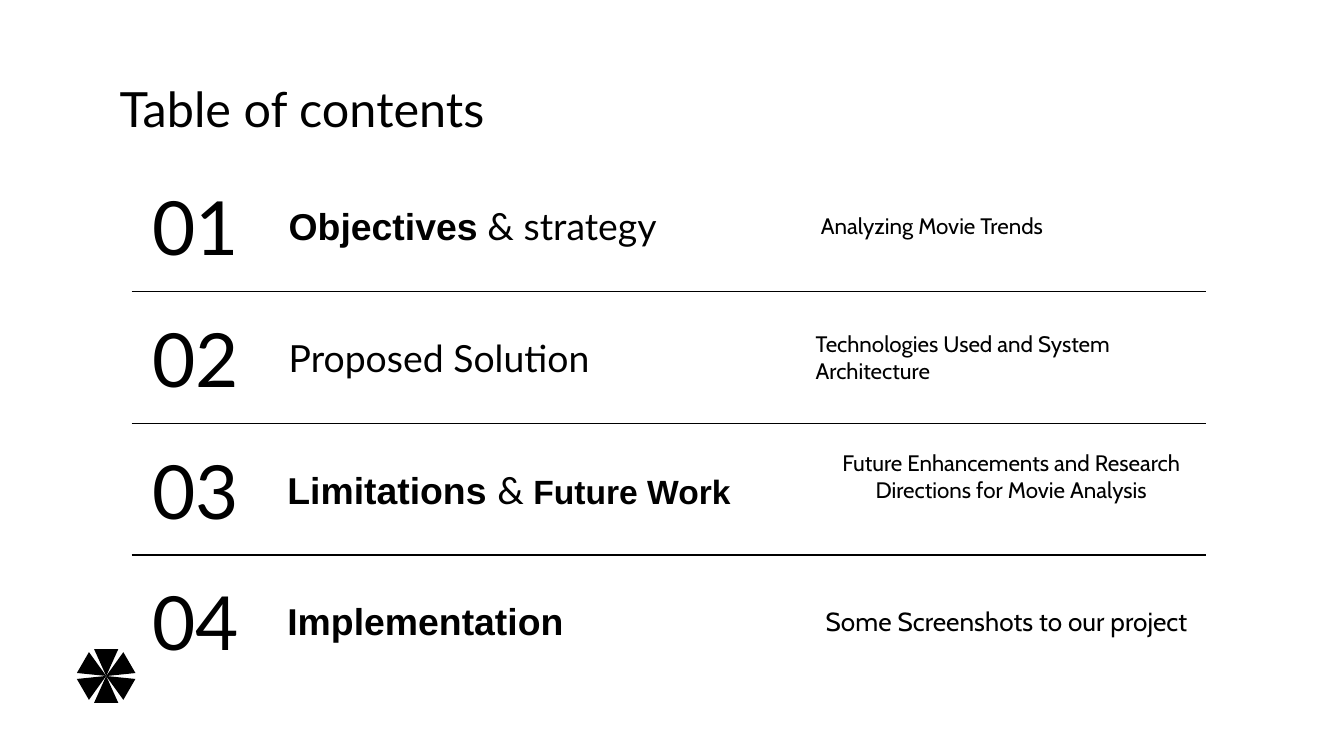
from math import cos, radians, sin

from lxml.etree import SubElement
from pptx import Presentation
from pptx.dml.color import RGBColor
from pptx.enum.shapes import MSO_CONNECTOR, MSO_SHAPE
from pptx.enum.text import MSO_ANCHOR, PP_ALIGN
from pptx.oxml.ns import qn
from pptx.util import Inches, Pt

BLACK = "000000"
FIRST_ROW, ROW_STEP = 1.68, 0.98  # middle of the first row, distance between rows
INSET = 0.1

# Left edge and parts of each heading; a part is (text, font, size, bold).
HEADINGS = [
    (2.05, [("Objectives", "Arial", 20, True), (" & strategy", "Lato", 20, False)]),
    (2.05, [("Proposed Solution", "Lato", 20, False)]),
    (2.04, [("Limitations ", "Arial", 20, True), ("& ", "Lato", 20, False),
            ("Future Work", "Arial", 18, True)]),
    (2.04, [("Implementation", "Arial", 20, True)]),
]
# Text, left, width, shift from the row's middle, size, alignment.
DESCRIPTIONS = [
    ("Analyzing Movie Trends", 6.01, 3.26, 0, 12, PP_ALIGN.LEFT),
    ("Technologies Used and System Architecture", 5.97, 2.82, 0, 12, PP_ALIGN.LEFT),
    ("Future Enhancements and Research Directions for Movie Analysis",
     5.97, 3.11, -0.1, 12, PP_ALIGN.CENTER),
    ("Some Screenshots to our project", 5.79, 3.4, 0, 14, PP_ALIGN.CENTER),
]


def color(value):
    return RGBColor.from_string(value)


def style_font(font, name, size, bold=False):
    font.name, font.size, font.bold = name, Pt(size), bold
    font.color.rgb = color(BLACK)


def set_frame(frame, anchor):
    frame.word_wrap = True
    frame.vertical_anchor = anchor
    frame.margin_left = frame.margin_right = Inches(INSET)
    frame.margin_top = frame.margin_bottom = Inches(INSET)


def add_title(page, text):
    title = page.shapes.title
    title.left, title.top = Inches(0.79), Inches(0.49)
    title.width, title.height = Inches(8.43), Inches(0.63)
    set_frame(title.text_frame, MSO_ANCHOR.TOP)
    para = title.text_frame.paragraphs[0]
    para.text = text
    para.alignment = PP_ALIGN.LEFT
    style_font(para.font, "Lato", 26)


def add_row_box(page, left, middle, width, height, align=PP_ALIGN.LEFT):
    """Add a text box centred on a row and return its paragraph."""
    box = page.shapes.add_textbox(Inches(left), Inches(middle - height / 2),
                                  Inches(width), Inches(height))
    set_frame(box.text_frame, MSO_ANCHOR.MIDDLE)
    para = box.text_frame.paragraphs[0]
    para.alignment = align
    return para


def add_label(page, text, font, size, *place):
    para = add_row_box(page, *place)
    para.text = text
    style_font(para.font, font, size)


def add_heading(page, left, parts, middle):
    para = add_row_box(page, left, middle, 4.24, 0.43)
    for text, *style in parts:
        span = para.add_run()
        span.text = text
        style_font(span.font, *style)


def add_divider(page, y):
    line = page.shapes.add_connector(MSO_CONNECTOR.STRAIGHT, Inches(0.98), Inches(y),
                                     Inches(8.97), Inches(y))
    line.line.color.rgb = color(BLACK)
    line.line.width = Pt(0.75)
    SubElement(line._element.spPr, qn("a:effectLst"))


def add_star(page, center_x, center_y, width=0.18, height=0.2):
    """Add six triangles whose tips meet in the centre."""
    star = page.shapes.add_group_shape()
    for angle in range(0, 360, 60):
        x = center_x - height / 2 * sin(radians(angle))
        y = center_y + height / 2 * cos(radians(angle))
        wedge = star.shapes.add_shape(
            MSO_SHAPE.ISOSCELES_TRIANGLE, Inches(x - width / 2), Inches(y - height / 2),
            Inches(width), Inches(height))
        wedge.rotation = angle
        wedge.shadow.inherit = False
        wedge.fill.solid()
        wedge.fill.fore_color.rgb = color(BLACK)
        wedge.line.fill.background()


def main():
    deck = Presentation()
    deck.slide_width = Inches(10)
    deck.slide_height = deck.slide_width * 9 // 16
    page = deck.slides.add_slide(deck.slide_layouts[5])
    add_title(page, "Table of contents")
    for row, (heading, description) in enumerate(zip(HEADINGS, DESCRIPTIONS)):
        middle = FIRST_ROW + row * ROW_STEP
        add_label(page, f"{row + 1:02}", "Lato", 40,
                  1.03, middle, 0.85, 0.83, PP_ALIGN.CENTER)
        add_heading(page, *heading, middle)
        text, left, width, shift, size, align = description
        add_label(page, text, "Cabin", size, left, middle + shift, width, 0.63, align)
        if row < len(HEADINGS) - 1:
            add_divider(page, middle + ROW_STEP / 2)
    add_star(page, 0.79, 5.03)
    deck.save("out.pptx")


if __name__ == "__main__":
    main()
